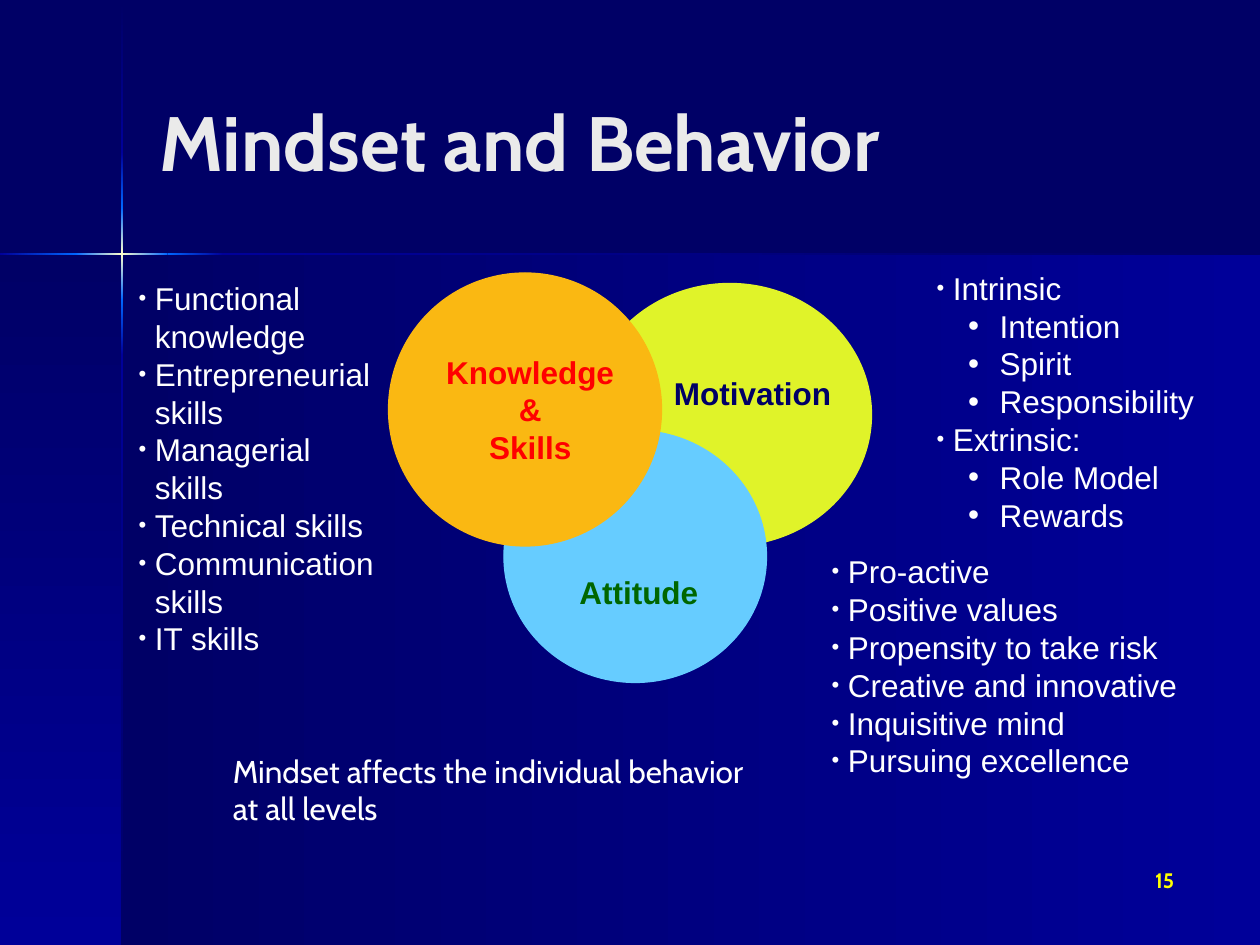
import pptx
import pptx.dml.color
import pptx.enum.shapes
import pptx.enum.text
import pptx.oxml.ns
import pptx.util
from lxml import etree

Pt = pptx.util.Pt
Align = pptx.enum.text.PP_ALIGN
Anchor = pptx.enum.text.MSO_ANCHOR
AutoSize = pptx.enum.text.MSO_AUTO_SIZE
Preset = pptx.enum.shapes.MSO_SHAPE
qn = pptx.oxml.ns.qn

NAVY, BLUE, GLOW, CREAM = "000066", "000099", "0066FF", "FFFFCC"
WHITE = "FFFFFF"
RIGHT, DOWN = 0, 270


def color(value):
    return pptx.dml.color.RGBColor.from_string(value)


def assign(target, values):
    for name, value in values.items():
        setattr(target, name, value)


class SlideStyle:
    text_font = "Arial"
    display_font = "Cabin"
    text_size = 18
    bullets = ((9.36, -9.36, 70), (36, -18, 100))

    def __init__(self, deck, layout):
        self.slide = deck.slides.add_slide(layout)
        fill = self.slide.background.fill
        fill.solid()
        fill.fore_color.rgb = color(NAVY)

    def place(self, box, area):
        names = ("left", "top", "width", "height")
        assign(box, dict(zip(names, map(Pt, area))))

    def shape(self, preset, area):
        shape = self.slide.shapes.add_shape(preset, *map(Pt, area))
        shape.shadow.inherit = False
        return shape

    def band(self, area, angle, colors):
        band = self.shape(Preset.RECTANGLE, area)
        band.line.fill.background()
        band.fill.gradient()
        band.fill.gradient_angle = angle
        stops = next(band.element.iter(qn("a:gsLst")))
        for stop in list(stops):
            stops.remove(stop)
        for index, value in enumerate(colors):
            position = str(100000 * index // (len(colors) - 1))
            stop = etree.SubElement(stops, qn("a:gs"), pos=position)
            etree.SubElement(stop, qn("a:srgbClr"), val=value)

    def circle(self, area, value):
        circle = self.shape(Preset.OVAL, area)
        circle.fill.solid()
        circle.fill.fore_color.rgb = color(value)
        circle.line.color.rgb = color(value)
        circle.line.width = Pt(0.75)

    def add_span(self, para, text, value, font=None, size=None, bold=False):
        span = para.add_run()
        span.text = text
        assign(span.font, {
            "name": font or self.text_font,
            "size": Pt(size or self.text_size),
            "bold": bold,
        })
        span.font.color.rgb = color(value)

    def fill_frame(self, box, lines, value, align=Align.LEFT, wrap=True,
                   anchor=Anchor.TOP, **style):
        frame = box.text_frame
        assign(frame, {"word_wrap": wrap, "auto_size": AutoSize.NONE,
                       "vertical_anchor": anchor})
        for index, line in enumerate(lines):
            para = frame.add_paragraph() if index else frame.paragraphs[0]
            para.alignment = align
            self.add_span(para, line, value, **style)

    def title(self, text, area):
        box = self.slide.shapes.title
        self.place(box, area)
        self.fill_frame(box, [text], "EAEAEA", anchor=Anchor.MIDDLE,
                        font=self.display_font, size=44, bold=True)

    def label(self, area, lines, value, **style):
        box = self.slide.shapes.add_textbox(*map(Pt, area))
        self.fill_frame(box, lines, value, **style)

    def bullet(self, para, level):
        margin, indent, percent = self.bullets[level]
        para.level = level
        props = para._p.get_or_add_pPr()
        props.set("marL", str(Pt(margin)))
        props.set("indent", str(Pt(indent)))
        tint = etree.SubElement(props, qn("a:buClr"))
        etree.SubElement(tint, qn("a:srgbClr"), val=WHITE)
        etree.SubElement(props, qn("a:buSzPct"), val=str(percent * 1000))
        etree.SubElement(props, qn("a:buFont"), typeface=self.text_font)
        etree.SubElement(props, qn("a:buChar"), char="•")
        assign(para, {"space_before": Pt(0), "space_after": Pt(0)})

    def bullet_list(self, index, area, items):
        box = self.slide.placeholders[index]
        self.place(box, area)
        self.slide.shapes._spTree.append(box.element)
        self.fill_frame(box, [text for text, level in items], WHITE)
        for para, (text, level) in zip(box.text_frame.paragraphs, items):
            self.bullet(para, level)

    def remove_empty(self):
        for box in list(self.slide.placeholders):
            if not box.text_frame.text:
                box.element.getparent().remove(box.element)


def main():
    deck = pptx.Presentation()
    assign(deck, {"slide_width": Pt(720), "slide_height": Pt(540)})
    page = SlideStyle(deck, deck.slide_layouts[4])

    page.band((69.84, 145.44, 650.16, 394.56), RIGHT, (NAVY, BLUE))
    page.band((0, 145.44, 69.84, 394.56), DOWN, (NAVY, BLUE))
    for top, bottom, colors in (
        (0.72, 87.12, (NAVY, BLUE)),
        (202.9, 540, (BLUE, NAVY)),
        (171.3, 202.9, (GLOW, BLUE)),
        (87.12, 118.8, (BLUE, GLOW)),
        (118.8, 171.3, (GLOW, CREAM, GLOW)),
    ):
        page.band((69.12, top, 1.3, bottom - top), DOWN, colors)
    for left, right, colors in (
        (127.4, 720, (BLUE, NAVY)),
        (0, 43.6, (BLUE, GLOW)),
        (95.8, 127.4, (GLOW, BLUE)),
        (43.2, 95.8, (GLOW, CREAM, GLOW)),
    ):
        page.band((left, 144.6, right - left, 1.3), RIGHT, colors)

    page.title("Mindset and Behavior", (84, 24, 594, 113))

    page.circle((336, 162, 162, 150), "E0F329")
    page.circle((288, 246, 150, 144), "66CCFF")
    page.circle((222, 156, 156, 156), "FAB812")
    page.label((378, 210, 104.4, 29), ["Motivation"], NAVY,
               wrap=False, bold=True)
    page.label((246, 198, 114, 72), ["Knowledge &", "Skills"], "FF0000",
               align=Align.CENTER, bold=True)
    page.label((324, 324, 82, 29), ["Attitude"], "006600",
               wrap=False, bold=True)

    page.bullet_list(1, (528, 150, 168, 158.4), [
        ("Intrinsic", 0), ("Intention", 1), ("Spirit", 1),
        ("Responsibility", 1), ("Extrinsic:", 0), ("Role Model", 1),
        ("Rewards", 1),
    ])
    page.bullet_list(2, (468, 312, 216, 136.8), [
        (text, 0) for text in (
            "Pro-active", "Positive values", "Propensity to take risk",
            "Creative and innovative", "Inquisitive mind",
            "Pursuing excellence")
    ])
    page.bullet_list(3, (72, 156, 150, 223.2), [
        (text, 0) for text in (
            "Functional knowledge", "Entrepreneurial skills",
            "Managerial skills", "Technical skills",
            "Communication skills", "IT skills")
    ])
    page.remove_empty()

    page.label((126, 426, 312, 50.4),
               ["Mindset affects the individual behavior at all levels"],
               WHITE, font=page.display_font)
    page.label((528, 492, 150, 36), ["15"], "FFFF00", align=Align.RIGHT,
               font=page.display_font, size=12, bold=True)
    deck.save("out.pptx")


if __name__ == "__main__":
    main()
